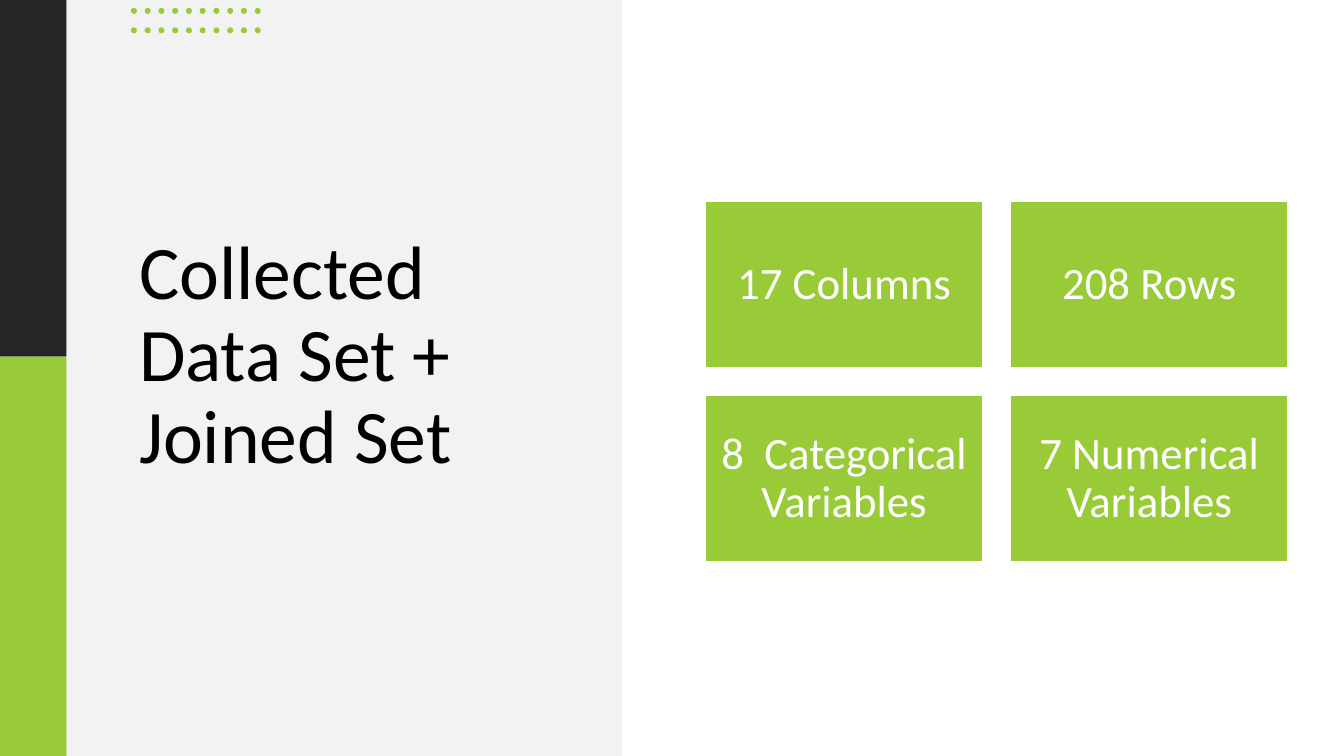
"""Build the slide that sums up the collected and joined data set."""
from dataclasses import dataclass
from itertools import product
from typing import Any

from pptx import Presentation, util as u
from pptx.dml.color import RGBColor
from pptx.enum import shapes, text

GREEN = RGBColor(0x99, 0xCB, 0x38)
CHARCOAL = RGBColor(0x26, 0x26, 0x26)
PALE_GREY = RGBColor(0xF2, 0xF2, 0xF2)
WHITE = RGBColor(0xFF, 0xFF, 0xFF)
BLACK = RGBColor(0x00, 0x00, 0x00)

SLIDE_WIDTH, SLIDE_HEIGHT = 33.87, 19.05
STRIPE_WIDTH, STRIPE_SPLIT = 1.68, 8.99
DOT_COLUMNS, DOT_ROWS = 10, 2
DOT_STEP_X, DOT_STEP_Y = 3.12 / 9, 0.49
CARD_WIDTH, CARD_HEIGHT, CARD_GAP = 6.99, 4.19, 0.7
CARD_INSET = u.Cm(0.33)


@dataclass(frozen=True)
class Block:
    """A filled shape with its place in centimetres."""
    left: float
    top: float
    width: float
    height: float
    fill: RGBColor
    outline: str = "RECTANGLE"


PANELS = (
    Block(0, 0, STRIPE_WIDTH, STRIPE_SPLIT, CHARCOAL),
    Block(0, STRIPE_SPLIT, STRIPE_WIDTH, SLIDE_HEIGHT - STRIPE_SPLIT, GREEN),
    Block(STRIPE_WIDTH, 0, 14, SLIDE_HEIGHT, PALE_GREY),
)
DOTS = tuple(
    Block(3.3 + column * DOT_STEP_X, 0.2 + row * DOT_STEP_Y, 0.15, 0.15, GREEN, "OVAL")
    for column, row in product(range(DOT_COLUMNS), range(DOT_ROWS))
)
FACTS = ("17 Columns", "208 Rows", "8  Categorical Variables", "7 Numerical Variables")


def apply(target: Any, formats: dict[str, Any]) -> None:
    """Set each named attribute on the target."""
    for name, value in formats.items():
        setattr(target, name, value)


def draw(canvas: Any, block: Block) -> Any:
    """Add a flat, borderless shape to a slide or group."""
    drawn = canvas.add_shape(
        shapes.MSO_SHAPE[block.outline],
        *map(u.Cm, (block.left, block.top, block.width, block.height)),
    )
    drawn.shadow.inherit = False
    drawn.fill.solid()
    drawn.fill.fore_color.rgb = block.fill
    drawn.line.fill.background()
    return drawn


def write(holder: Any, wording: str, size: int, color: RGBColor, align: text.PP_ALIGN) -> None:
    """Fill a text holder with one formatted paragraph."""
    frame = holder.text_frame
    apply(frame, {"text": wording, "word_wrap": True, "auto_size": text.MSO_AUTO_SIZE.NONE,
                  "vertical_anchor": text.MSO_ANCHOR.MIDDLE})
    paragraph = frame.paragraphs[0]
    apply(paragraph, {"alignment": align, "line_spacing": 0.9})
    font = paragraph.runs[0].font
    apply(font, {"name": "Calibri", "size": u.Pt(size)})
    font.color.rgb = color


def draw_fact(canvas: Any, position: int, fact: str) -> None:
    """Add one fact card at its place in the two-column grid."""
    row, column = divmod(position, 2)
    card = draw(canvas, Block(17.78 + column * (CARD_WIDTH + CARD_GAP),
                              5.08 + row * (CARD_HEIGHT + CARD_GAP),
                              CARD_WIDTH, CARD_HEIGHT, GREEN))
    card.line.color.rgb = WHITE
    card.line.width = u.Pt(1)
    apply(card.text_frame, {f"margin_{side}": CARD_INSET
                            for side in ("left", "top", "right", "bottom")})
    write(card, fact, 32, WHITE, text.PP_ALIGN.CENTER)


def main() -> None:
    """Compose and save the slide."""
    deck = Presentation()
    apply(deck, {"slide_width": u.Cm(SLIDE_WIDTH), "slide_height": u.Cm(SLIDE_HEIGHT)})
    slide = deck.slides.add_slide(deck.slide_layouts[5])

    panels = [draw(slide.shapes, panel) for panel in PANELS]
    heading = slide.shapes.title
    panels[-1].element.addnext(heading.element)
    apply(heading, {"left": u.Cm(3.25), "top": u.Cm(3.33),
                    "width": u.Cm(10.46), "height": u.Cm(11.33)})
    write(heading, "Collected Data Set + Joined Set ", 54, BLACK, text.PP_ALIGN.LEFT)

    dot_grid = slide.shapes.add_group_shape()
    for dot in DOTS:
        draw(dot_grid.shapes, dot)

    fact_grid = slide.shapes.add_group_shape()
    for position, fact in enumerate(FACTS):
        draw_fact(fact_grid.shapes, position, fact)

    deck.save("out.pptx")


if __name__ == "__main__":
    main()
